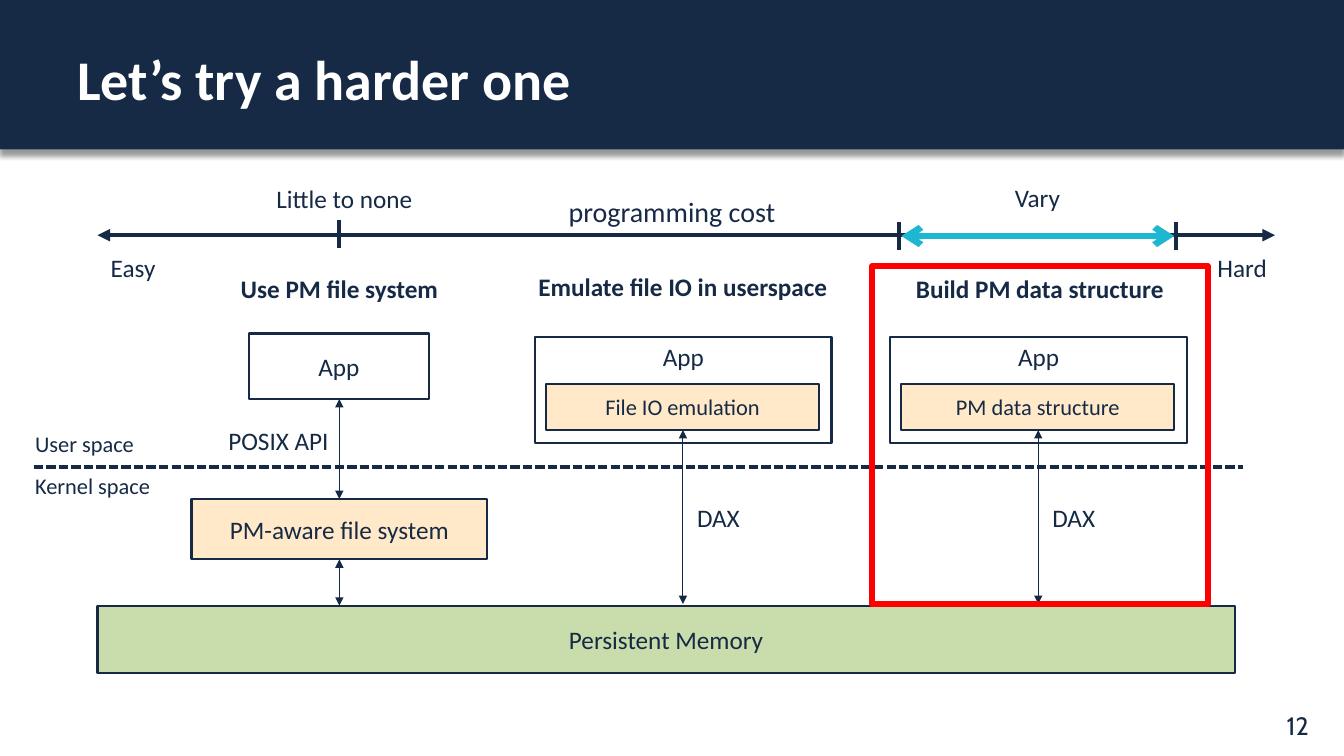
from dataclasses import dataclass

from lxml import etree
from pptx import Presentation
from pptx import util as u
from pptx.dml.color import RGBColor
from pptx.enum import dml, shapes, text
from pptx.oxml.ns import qn

COLUMNS, ROWS = 160, 90
LEFT, CENTER, RIGHT = text.PP_ALIGN.LEFT, text.PP_ALIGN.CENTER, text.PP_ALIGN.RIGHT
TOP, MIDDLE = text.MSO_ANCHOR.TOP, text.MSO_ANCHOR.MIDDLE


@dataclass(frozen=True)
class Theme:
    navy: str = "162A46"
    arrow: str = "142946"
    white: str = "FFFFFF"
    green: str = "C9DCAB"
    cream: str = "FFE9C9"
    red: str = "FF0000"
    cyan: str = "1EB7D1"
    black: str = "000000"
    font: str = "Calibri"
    number_font: str = "Cabin"
    title: float = 40
    axis: float = 20
    body: float = 18
    small: float = 16
    thin: float = 0.75
    outline: float = 1.5
    dashed: float = 2.25
    thick: float = 3
    highlight: float = 4.5


class Diagram:
    """Draws on one slide; lengths are columns and rows of a 160 by 90 grid."""

    def __init__(self, presentation, theme):
        self.theme = theme
        self.slide = presentation.slides.add_slide(presentation.slide_layouts[6])
        self.column = presentation.slide_width / COLUMNS
        self.row = presentation.slide_height / ROWS

    def grid(self, *lengths):
        """Turn alternating columns and rows into slide units."""
        steps = (self.column, self.row)
        return [round(length * steps[i % 2]) for i, length in enumerate(lengths)]

    def set_words(self, frame, words, size, color, bold, align, anchor, font, wrap=True):
        frame.text = words
        frame.word_wrap = wrap
        frame.vertical_anchor = anchor
        paragraph = frame.paragraphs[0]
        paragraph.alignment = align
        for run in paragraph.runs:
            run.font.name = font
            run.font.size = u.Pt(size)
            run.font.bold = bold
            run.font.color.rgb = RGBColor.from_string(color)

    def label(self, words, left, top, width, height=4.8, size=None, color=None,
              bold=False, align=LEFT, anchor=TOP, font=None, wrap=True):
        box = self.slide.shapes.add_textbox(*self.grid(left, top, width, height))
        self.set_words(box.text_frame, words, size or self.theme.body,
                       color or self.theme.navy, bold, align, anchor,
                       font or self.theme.font, wrap)

    def centered_label(self, words, center, top, width, **style):
        self.label(words, center - width / 2, top, width, align=CENTER, **style)

    def box(self, left, top, width, height, words="", fill=None, line=None,
            weight=None, size=None, anchor=MIDDLE):
        rect = self.slide.shapes.add_shape(
            shapes.MSO_SHAPE.RECTANGLE, *self.grid(left, top, width, height))
        rect.shadow.inherit = False
        if fill:
            rect.fill.solid()
            rect.fill.fore_color.rgb = RGBColor.from_string(fill)
        else:
            rect.fill.background()
        rect.line.color.rgb = RGBColor.from_string(line or self.theme.navy)
        rect.line.width = u.Pt(weight or self.theme.outline)
        if words:
            self.set_words(rect.text_frame, words, size or self.theme.body,
                           self.theme.navy, False, CENTER, anchor, self.theme.font)
        return rect

    def line(self, x1, y1, x2, y2, color, weight, ends=None, dash=None):
        connector = self.slide.shapes.add_connector(
            shapes.MSO_CONNECTOR.STRAIGHT, *self.grid(x1, y1, x2, y2))
        connector.line.color.rgb = RGBColor.from_string(color)
        connector.line.width = u.Pt(weight)
        if dash:
            connector.line.dash_style = dash
        if ends:
            outline = connector._element.spPr.find(qn("a:ln"))
            for end in ("a:headEnd", "a:tailEnd"):
                etree.SubElement(outline, qn(end), type=ends)
        etree.SubElement(connector._element.spPr, qn("a:effectLst"))

    def vertical_arrow(self, x, top, bottom):
        self.line(x, top, x, bottom, self.theme.arrow, self.theme.thin, "triangle")

    def tick(self, x, top):
        self.line(x, top, x, top + 3.36, self.theme.navy, self.theme.thick)

    def header(self, words):
        band = self.box(0, 0, COLUMNS, 17.8, fill=self.theme.navy)
        band.line.fill.background()
        effects = band._element.spPr.find(qn("a:effectLst"))
        shadow = etree.SubElement(effects, qn("a:outerShdw"), blurRad=str(u.Pt(4)),
                                  dist=str(u.Pt(4)), dir="5400000", rotWithShape="0")
        color = etree.SubElement(shadow, qn("a:srgbClr"), val=self.theme.black)
        etree.SubElement(color, qn("a:alpha"), val="40000")
        self.label(words, 8, 0.7, 144, 17.1, size=self.theme.title,
                   color=self.theme.white, bold=True, anchor=MIDDLE)

    def direct_access(self, center, component):
        """An app whose inner component reaches the memory through DAX."""
        self.vertical_arrow(center, 51.2, 71.9)
        self.box(center - 16.3, 45.7, 32.5, 5.5, component,
                 fill=self.theme.cream, size=self.theme.small)
        self.box(center - 17.6, 40.1, 35.3, 12.7, "App", anchor=TOP)
        self.label("DAX", center + 0.5, 59.2, 18.5)


def main():
    presentation = Presentation()
    presentation.slide_width = u.Inches(13.33)
    presentation.slide_height = u.Inches(7.5)
    theme = Theme()
    diagram = Diagram(presentation, theme)
    file_system, emulation, structure = 40.4, 81.3, 123.6

    diagram.label("12", 152, 84, 5.5, font=theme.number_font, wrap=False)
    diagram.header("Let’s try a harder one")

    diagram.box(11.6, 72.1, 135.4, 8, "Persistent Memory", fill=theme.green)
    diagram.box(22.8, 59.4, 35.2, 7.2, "PM-aware file system", fill=theme.cream)
    diagram.box(29.6, 39.7, 21.5, 7.8, "App")
    diagram.line(4, 55.6, 148, 55.6, theme.navy, theme.dashed,
                 dash=dml.MSO_LINE.SQUARE_DOT)
    for top, bottom in ((47.5, 59.4), (66.6, 72.1)):
        diagram.vertical_arrow(file_system, top, bottom)
    diagram.label("POSIX API", 26, 50, 19)
    for space, top in (("User space", 50.6), ("Kernel space", 55.6)):
        diagram.label(space, 3, top, 19, 4.4, size=theme.small)
    diagram.direct_access(structure, "PM data structure")
    diagram.direct_access(emulation, "File IO emulation")

    for approach, center, top in (("Use PM file system", file_system, 32),
                                  ("Build PM data structure", structure + 0.2, 32),
                                  ("Emulate file IO in userspace", emulation, 31.7)):
        diagram.centered_label(approach, center, top, 40.4, bold=True)
    diagram.box(103.8, 31.7, 40, 40.2, line=theme.red, weight=theme.highlight)

    diagram.line(11.6, 28, 151.8, 28, theme.navy, theme.thick, "triangle")
    diagram.label("Easy", 12, 29.4, 10.8)
    diagram.label("Hard", 141.2, 29.4, 10.8, align=RIGHT)
    diagram.centered_label("programming cost", 80, 22.6, 56, size=theme.axis)
    for x, top in ((107, 26.4), (140, 26.4), (file_system, 26.2)):
        diagram.tick(x, top)
    diagram.centered_label("Vary", 123.5, 21.1, 27)
    diagram.centered_label("Little to none", 41, 21.2, 27)
    diagram.line(107.3, 28.1, 139.8, 28.1, theme.cyan, theme.highlight, "arrow")

    presentation.save("out.pptx")


if __name__ == "__main__":
    main()
